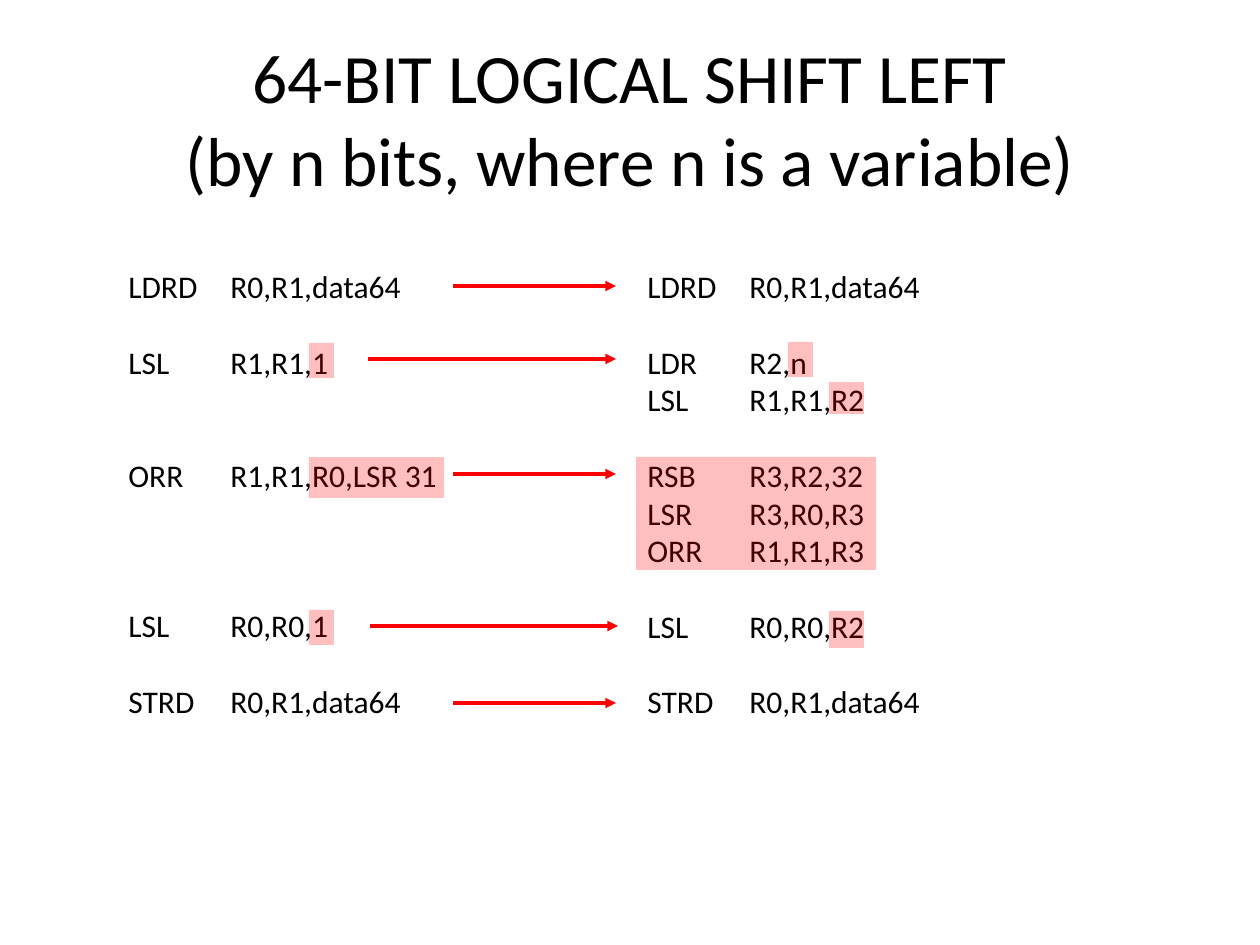
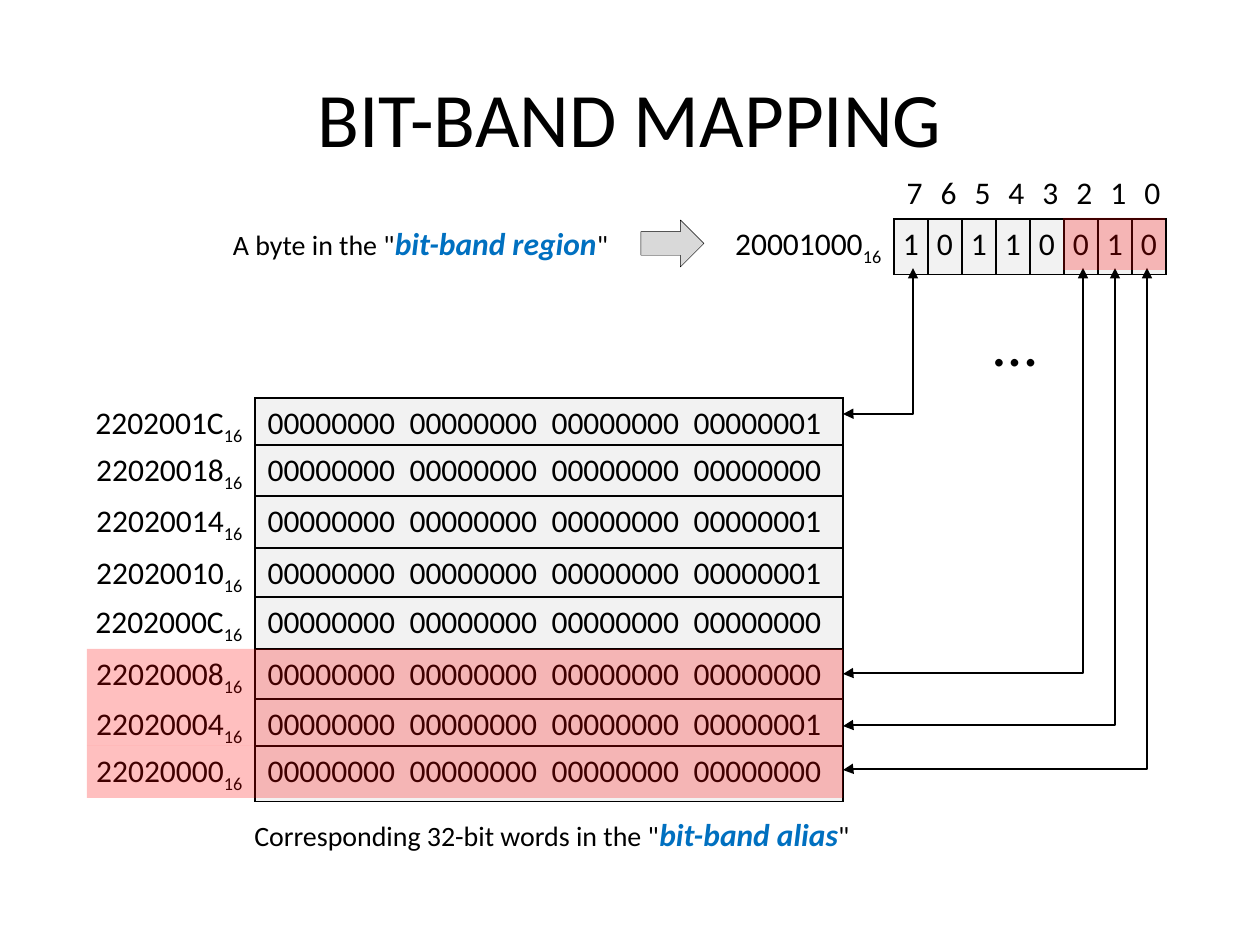
from lxml.etree import SubElement
from pptx import Presentation
from pptx.dml.color import RGBColor
from pptx.enum.shapes import MSO_CONNECTOR as Connector, MSO_SHAPE as Shape
from pptx.enum.text import MSO_ANCHOR as Anchor, MSO_AUTO_SIZE as AutoSize, PP_ALIGN as Align
from pptx.oxml.ns import qn
from pptx.util import Emu, Pt

FONT = "Calibri"
BLACK, RED, BLUE = "000000", "FF0000", "0070C0"
CELL_GRAY, ARROW_GRAY = "F2F2F2", "D9D9D9"
NO_TABLE_STYLE = "{2D5ABB26-0587-4C30-8999-92F81FD0307C}"
color = RGBColor.from_string


def px(length):
    return Emu(round(length * 914400 / 126))


def write(paragraph, pieces, alignment=Align.LEFT, tabs=()):
    paragraph.alignment = alignment
    if tabs:
        tab_list = SubElement(paragraph._p.get_or_add_pPr(), qn("a:tabLst"))
        for position in tabs:
            SubElement(tab_list, qn("a:tab"), pos=str(px(position)), algn="l")
    for text, size, style in pieces:
        run = paragraph.add_run()
        run.text = text
        run.font.name = FONT
        run.font.size = Pt(size)
        run.font.color.rgb = color(BLUE if style == "term" else BLACK)
        if style == "term":
            run.font.bold = run.font.italic = True
        if style == "subscript":
            run.font._element.set("baseline", "-25000")


presentation = Presentation()
presentation.slide_width, presentation.slide_height = px(1260), px(945)

slides = []
for title_text, title_size in (
    ("64-BIT LOGICAL SHIFT LEFT\v(by n bits, where n is a variable)", 39.6),
    ("BIT-BAND MAPPING", 44),
):
    slide = presentation.slides.add_slide(presentation.slide_layouts[5])
    title = slide.shapes.title
    title.left, title.top, title.width, title.height = px(63), px(38), px(1134), px(158)
    title.text_frame.text = title_text
    title.text_frame.auto_size = AutoSize.NONE
    title.text_frame.vertical_anchor = Anchor.MIDDLE
    title.text_frame.paragraphs[0].alignment = Align.CENTER
    for run in title.text_frame.paragraphs[0].runs:
        run.font.name = FONT
        run.font.size = Pt(title_size)
        run.font.color.rgb = color(BLACK)
    slides.append(slide)
shift_slide, mapping_slide = slides

one_bit_code = [
    (0, "LDRD\tR0,R1,data64"),
    (1, "LSL\tR1,R1,1"),
    (2, "ORR\tR1,R1,R0,LSR 31"),
    (3, "LSL\tR0,R0,1"),
    (1, "STRD\tR0,R1,data64"),
]
n_bit_code = [
    (0, "LDRD\tR0,R1,data64"),
    (1, "LDR\tR2,n"),
    (0, "LSL\tR1,R1,R2"),
    (1, "RSB\tR3,R2,32"),
    (0, "LSR\tR3,R0,R3"),
    (0, "ORR\tR1,R1,R3"),
    (1, "LSL\tR0,R0,R2"),
    (1, "STRD\tR0,R1,data64"),
]
for left, code in ((116, one_bit_code), (635, n_bit_code)):
    text_frame = shift_slide.shapes.add_textbox(px(left), px(261), px(357), px(509)).text_frame
    text_frame.word_wrap = True
    for index, (skipped_lines, instruction) in enumerate(code):
        paragraph = text_frame.add_paragraph() if index else text_frame.paragraphs[0]
        if skipped_lines:
            paragraph.space_before = Pt(21.5 * skipped_lines)
        write(paragraph, [(instruction, 18, "plain")], tabs=[102])

connectors = []
for start, end, y in (
    (453, 616, 286), (368, 616, 359), (453, 616, 474), (370, 618, 626), (453, 616, 703),
):
    connector = shift_slide.shapes.add_connector(Connector.STRAIGHT, px(start), px(y), px(end), px(y))
    connectors.append((connector, RED, 2, ["tailEnd"]))

tables = []
bits = "10110010"
byte_table = mapping_slide.shapes.add_table(2, 9, px(661), px(168), px(505), px(106)).table
tables.append(byte_table)
byte_table.rows[0].height, byte_table.rows[1].height = px(51), px(55)
byte_table.columns[0].width = px(233)
write(byte_table.cell(1, 0).text_frame.paragraphs[0],
      [("20001000", 18, "plain"), ("16", 18, "subscript")], Align.RIGHT)
value_cells = []
for index, bit in enumerate(bits):
    byte_table.columns[index + 1].width = px(34)
    number_cell, bit_cell = byte_table.cell(0, index + 1), byte_table.cell(1, index + 1)
    write(number_cell.text_frame.paragraphs[0], [(str(7 - index), 18, "plain")], Align.CENTER)
    write(bit_cell.text_frame.paragraphs[0], [(bit, 18, "plain")], Align.CENTER)
    bit_cell.margin_left = bit_cell.margin_right = 0
    value_cells.append(bit_cell)

word_tops = [398, 445, 496, 548, 597, 649, 699, 746]
for index, (bit, top) in enumerate(zip(bits, word_tops)):
    word_table = mapping_slide.shapes.add_table(1, 2, px(66), px(top), px(777), px(52)).table
    tables.append(word_table)
    word_table.columns[0].width, word_table.columns[1].width = px(189), px(588)
    address = f"{0x2202001C - 4 * index:X}"
    word = "\t".join(["0" * 8] * 3 + ["0" * 7 + bit])
    write(word_table.cell(0, 0).text_frame.paragraphs[0],
          [(address, 18, "plain"), ("16", 18, "subscript")], Align.RIGHT)
    write(word_table.cell(0, 1).text_frame.paragraphs[0],
          [(word, 18, "plain")], tabs=[142, 284, 426])
    value_cells.append(word_table.cell(0, 1))

for table in tables:
    table.first_row = table.horz_banding = False
    table._tbl.tblPr.find(qn("a:tableStyleId")).text = NO_TABLE_STYLE
    for cell in table.iter_cells():
        cell.fill.background()
for cell in value_cells:
    properties = cell._tc.get_or_add_tcPr()
    for position, side in enumerate(("lnL", "lnR", "lnT", "lnB")):
        border = SubElement(properties, qn(f"a:{side}"), w=str(Pt(1)))
        SubElement(SubElement(border, qn("a:solidFill")), qn("a:srgbClr"), val=BLACK)
        properties.insert(position, border)
    cell.fill.solid()
    cell.fill.fore_color.rgb = color(CELL_GRAY)

for left, top, width, height, alignment, pieces in (
    (914, 297, 202, 89, Align.CENTER, [("…", 36, "plain")]),
    (200, 218, 441, 50, Align.CENTER,
     [('A byte in the "', 16, "plain"), ("bit-band region", 18, "term"), ('"', 16, "plain")]),
    (242, 809, 629, 50, Align.LEFT,
     [('Corresponding 32-bit words in the "', 16, "plain"), ("bit-band alias", 18, "term"), ('"', 16, "plain")]),
):
    text_frame = mapping_slide.shapes.add_textbox(px(left), px(top), px(width), px(height)).text_frame
    text_frame.word_wrap = True
    write(text_frame.paragraphs[0], pieces, alignment)

block_arrow = mapping_slide.shapes.add_shape(Shape.RIGHT_ARROW, px(641), px(220), px(63), px(47))
block_arrow.shadow.inherit = False
block_arrow.fill.solid()
block_arrow.fill.fore_color.rgb = color(ARROW_GRAY)
block_arrow.line.color.rgb = color(BLACK)
block_arrow.line.width = Pt(0.25)

word_edge, bit_edge = 843, 268
for bit_x, word_y in ((913, 414), (1083, 674), (1115, 726), (1147, 770)):
    center_x, center_y = (word_edge + bit_x) / 2, (bit_edge + word_y) / 2
    half_length, half_width = (word_y - bit_edge) / 2, (bit_x - word_edge) / 2
    connector = mapping_slide.shapes.add_connector(
        Connector.ELBOW,
        px(center_x - half_length), px(center_y - half_width),
        px(center_x + half_length), px(center_y + half_width))
    connector._element.spPr.find(qn("a:xfrm")).set("rot", "5400000")
    adjustments = connector._element.spPr.find(qn("a:prstGeom")).find(qn("a:avLst"))
    SubElement(adjustments, qn("a:gd"), name="adj1", fmla="val 99800")
    connectors.append((connector, BLACK, 1, ["headEnd", "tailEnd"]))

for connector, line_color, width, ends in connectors:
    connector.line.color.rgb = color(line_color)
    connector.line.width = Pt(width)
    for end in ends:
        SubElement(connector.line._get_or_add_ln(), qn(f"a:{end}"), type="triangle")
    SubElement(connector._element.spPr, qn("a:effectLst"))

code_highlights = [
    (309, 343, 25, 35), (309, 457, 135, 41), (309, 610, 25, 35),
    (788, 342, 25, 35), (829, 382, 35, 32), (636, 457, 240, 113), (829, 611, 35, 37),
]
bit_highlights = [(1063 + 34 * index, 218, 34, 52) for index in range(3)]
word_highlights = [(87, 649, 756, 50), (87, 699, 756, 47), (87, 746, 756, 52)]
for slide, highlights in ((shift_slide, code_highlights), (mapping_slide, bit_highlights + word_highlights)):
    for left, top, width, height in highlights:
        highlight = slide.shapes.add_shape(Shape.RECTANGLE, px(left), px(top), px(width), px(height))
        highlight.shadow.inherit = False
        highlight.line.fill.background()
        highlight.fill.solid()
        highlight.fill.fore_color.rgb = color(RED)
        fill_color = highlight._element.spPr.find(qn("a:solidFill")).find(qn("a:srgbClr"))
        SubElement(fill_color, qn("a:alpha"), val="25000")

presentation.save("out.pptx")
